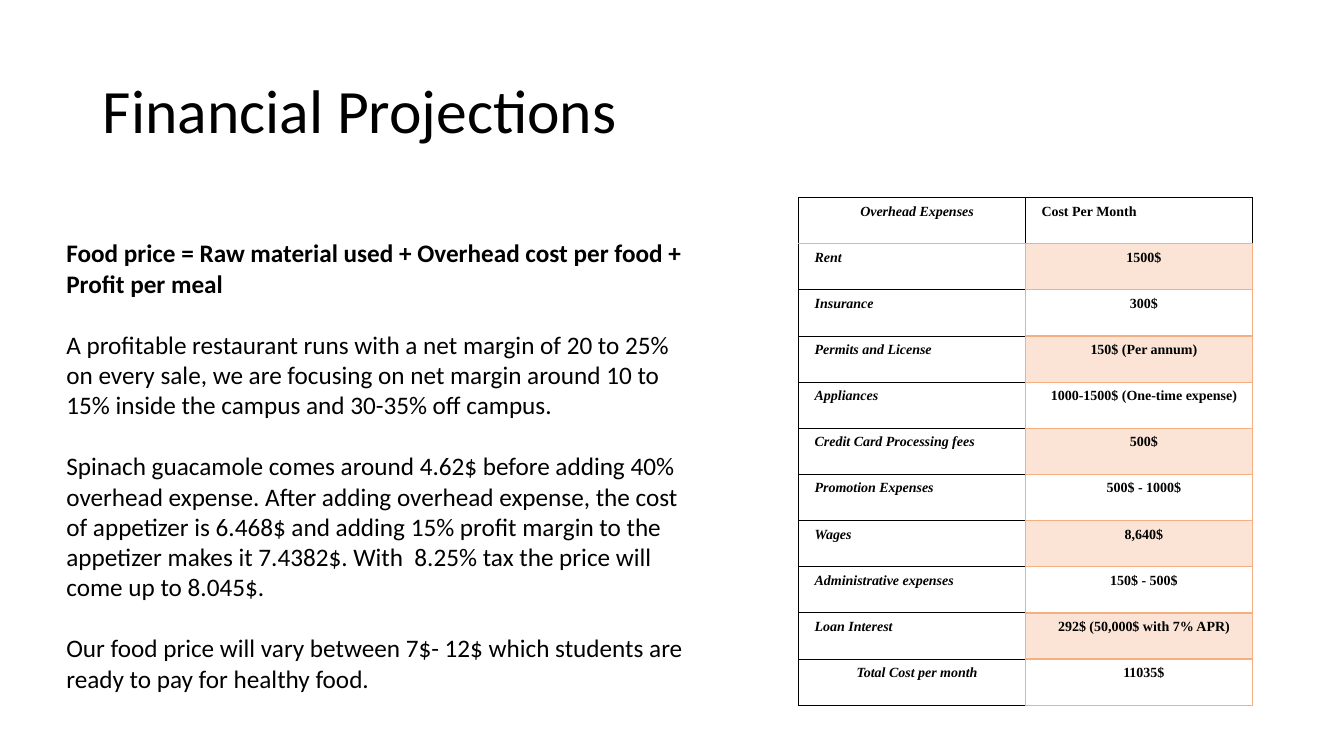
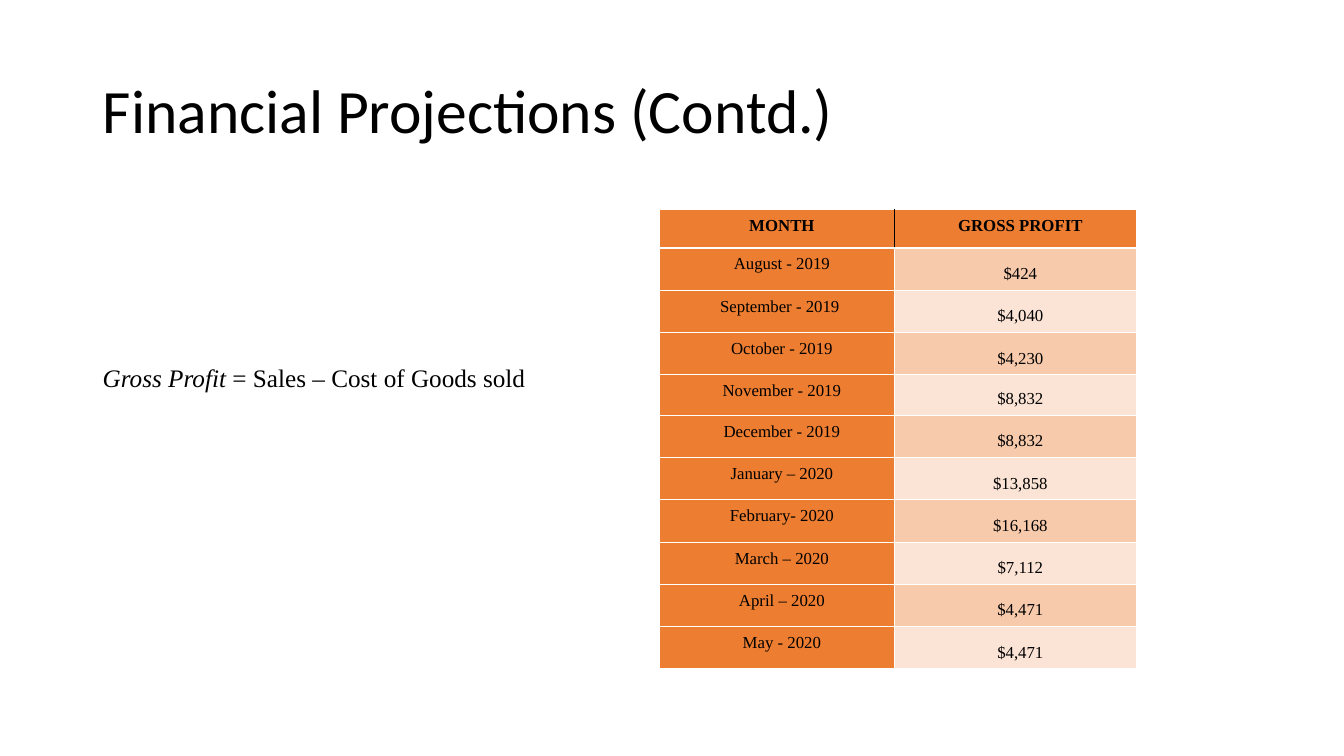
from lxml import etree
from pptx import Presentation, util as u
from pptx.dml.color import RGBColor
from pptx.enum import text as t
from pptx.oxml.ns import qn

PX = 9144  # 100 px to the inch
BLACK = RGBColor(0, 0, 0)
WHITE = RGBColor(255, 255, 255)
ORANGE = RGBColor(0xED, 0x7D, 0x31)
AMBER = RGBColor(0xF4, 0xB0, 0x83)
PEACH = RGBColor(0xF7, 0xCA, 0xAC)
CREAM = RGBColor(0xFB, 0xE4, 0xD5)
SANS, SERIF = "Calibri", "Times New Roman"
LEFT, MID = t.PP_ALIGN.LEFT, t.PP_ALIGN.CENTER
TOP, LOW = t.MSO_ANCHOR.TOP, t.MSO_ANCHOR.BOTTOM

COSTS = [
    ("Overhead Expenses", "Cost Per Month"),
    ("Rent", "1500$"),
    ("Insurance", "300$"),
    ("Permits and License", "150$ (Per annum)"),
    ("Appliances", "1000-1500$ (One-time expense)"),
    ("Credit Card Processing fees", "500$"),
    ("Promotion Expenses", "500$ - 1000$"),
    ("Wages", "8,640$"),
    ("Administrative expenses", "150$ - 500$"),
    ("Loan Interest", "292$ (50,000$ with 7% APR)"),
    ("Total Cost per month", "11035$"),
]
PROFITS = [
    ("MONTH", "GROSS PROFIT"),
    ("August - 2019", "$424"),
    ("September - 2019 ", "$4,040"),
    ("October - 2019", "$4,230"),
    ("November - 2019", "$8,832"),
    ("December - 2019", "$8,832"),
    ("January – 2020", "$13,858"),
    ("February- 2020", "$16,168"),
    ("March – 2020", "$7,112"),
    ("April – 2020", "$4,471"),
    ("May - 2020", "$4,471"),
]
PRICING = [
    "Food price = Raw material used + Overhead cost per food + Profit per meal",
    "A profitable restaurant runs with a net margin of 20 to 25% on every sale, "
    "we are focusing on net margin around 10 to 15% inside the campus and "
    "30-35% off campus.",
    "Spinach guacamole comes around 4.62$ before adding 40% overhead expense. "
    "After adding overhead expense, the cost of appetizer is 6.468$ and adding "
    "15% profit margin to the appetizer makes it 7.4382$. With  8.25% tax the "
    "price will come up to 8.045$.",
    "Our food price will vary between 7$- 12$ which students are ready to pay "
    "for healthy food.",
]
FORMULA = [("Gross Profit", True), (" = Sales – Cost of Goods sold", False)]


def box(*lengths):
    return [round(n * PX) for n in lengths]


def style(font, name, size, **looks):
    font.color.rgb = BLACK
    looks.update(name=name, size=u.Pt(size))
    for key, val in looks.items():
        setattr(font, key, val)


def start(deck, words):
    """Add a slide with its title."""
    slide = deck.slides.add_slide(deck.slide_layouts[5])
    title = slide.shapes.title
    title.left, title.top, title.width, title.height = box(92, 40, 1150, 145)
    frame = title.text_frame
    frame.text = words
    frame.vertical_anchor = t.MSO_ANCHOR.MIDDLE
    para = frame.paragraphs[0]
    para.alignment, para.line_spacing = LEFT, 0.9
    style(para.font, SANS, 44)
    return slide


def note(slide, place, wrap):
    frame = slide.shapes.add_textbox(*box(*place)).text_frame
    frame.word_wrap = wrap
    return frame


def edge(cell, side, color):
    width = 0.75 if color == BLACK else 1
    line = etree.SubElement(cell._tc.get_or_add_tcPr(), qn("a:ln" + side),
                            w=str(u.Pt(width)))
    fill = etree.SubElement(line, qn("a:solidFill"))
    etree.SubElement(fill, qn("a:srgbClr"), val=str(color))


def grid(slide, data, place, cols, rows, pad, size, look):
    """Draw a table; look(row, col) gives fill, edges, paragraph and font."""
    table = slide.shapes.add_table(len(data), len(cols), *box(*place)).table
    for col, width in zip(table.columns, box(*cols)):
        col.width = width
    for row, height in zip(table.rows, box(*rows)):
        row.height = height
    for r, words in enumerate(data):
        for c, word in enumerate(words):
            cell, form = table.cell(r, c), look(r, c)
            for side in "LRTB":
                edge(cell, side, form["edges"][side])
            cell.fill.solid()
            cell.fill.fore_color.rgb = form["fill"]
            for side in ("left", "right", "top", "bottom"):
                setattr(cell, "margin_" + side, pad * PX)
            cell.vertical_anchor = form.get("anchor", TOP)
            cell.text = word
            para = cell.text_frame.paragraphs[0]
            para._p.get_or_add_pPr().set("marL", str(10 * PX))
            para.alignment = form.get("align", MID)
            style(para.font, SERIF, size, **form["font"])


def cost(r, c):
    head, last = r == 0, r == len(COSTS) - 1
    edges = dict.fromkeys("LRTB", BLACK if head or c == 0 else AMBER)
    if head:
        edges["B"] = AMBER
    elif c == 0:
        edges["R"] = AMBER
        if r == 1:
            edges["T"] = AMBER
    mid = head or last if c == 0 else not head
    return dict(edges=edges, fill=CREAM if c and r % 2 else WHITE,
                align=MID if mid else LEFT,
                font=dict(bold=True, italic=c == 0))


def profit(r, c):
    edges = dict.fromkeys("LRTB", WHITE)
    if r == 0:
        edges["L" if c else "R"] = BLACK
    body = r > 0 and c > 0
    band = PEACH if r % 2 else CREAM
    return dict(edges=edges, fill=band if body else ORANGE,
                anchor=LOW if body else TOP, font=dict(bold=r == 0))


def main():
    deck = Presentation()
    deck.slide_width, deck.slide_height = box(1333, 750)

    slide = start(deck, "Financial Projections")
    count = len(COSTS)
    grid(slide, COSTS, (792, 196, 450, 504), [225] * 2,
         [504 / count] * count, 6, 10, cost)
    frame = note(slide, (56, 231, 647, 525), True)
    for i, words in enumerate(PRICING):
        para = frame.add_paragraph() if i else frame.paragraphs[0]
        para.text = words
        if i:
            para.space_before = u.Pt(22)
        style(para.font, SANS, 18, bold=i == 0)

    slide = start(deck, "Financial Projections (Contd.)")
    grid(slide, PROFITS, (654, 208, 473, 453), [233, 240],
         [38] + [42] * 3 + [40] + [42] * 6, 7, 12, profit)
    para = note(slide, (92, 355, 443, 40), False).paragraphs[0]
    for words, slant in FORMULA:
        run = para.add_run()
        run.text = words
        style(run.font, SERIF, 18, italic=slant)

    deck.save("out.pptx")


if __name__ == "__main__":
    main()
